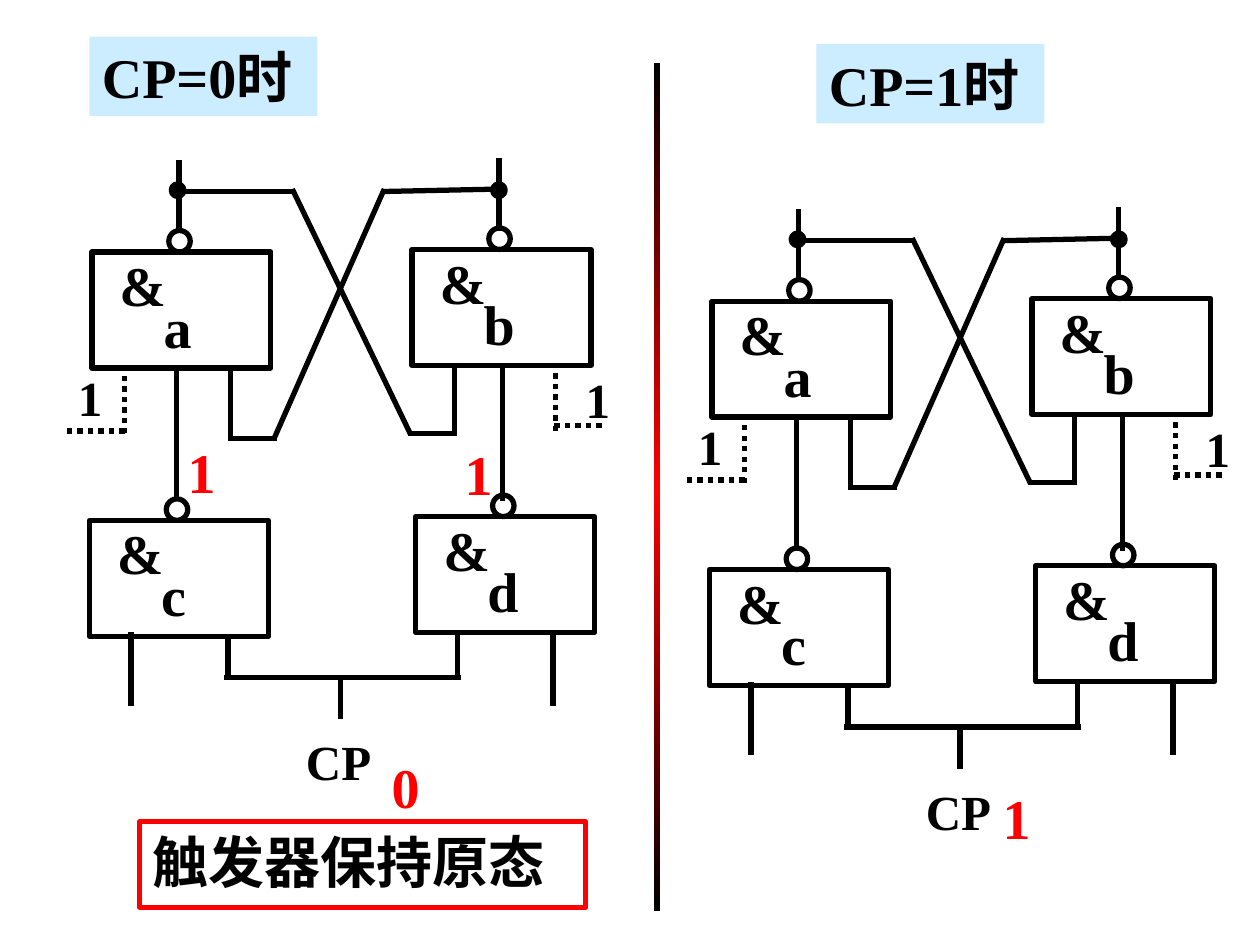
from copy import deepcopy

from lxml.etree import SubElement
from pptx import Presentation
from pptx.dml.color import RGBColor
from pptx.enum.dml import MSO_LINE
from pptx.enum.shapes import MSO_CONNECTOR, MSO_SHAPE
from pptx.enum.text import MSO_ANCHOR, PP_ALIGN
from pptx.oxml.ns import qn
from pptx.util import Inches, Pt

COLOURS = {"ink": "000000", "signal": "FF0000", "label": "CCECFF"}
FONT = "Times New Roman"

HEADINGS = [("CP=0时", 0.71, 0.29), ("CP=1时", 6.48, 0.35)]
CONCLUSION = ("触发器保持原态", 1.11, 6.52, 3.54, 0.68)
DIVIDER = (5.19, 0.5, 0.05, 6.73)
DIVIDER_STOPS = [(0, "ink"), (0.5, "signal"), (1, "ink")]
SIGNALS = [
    ("0", 3.01, 5.92),
    ("1", 1.39, 3.42),
    ("1", 3.59, 3.44),
    ("1", 7.86, 6.17),
]

CIRCUIT_ORIGINS = [(0, 0), (4.92, 0.39)]
GATES = [("a", 0.73, 2), ("b", 3.27, 1.98), ("c", 0.71, 4.13), ("d", 3.3, 4.1)]
JUNCTIONS = [(1.36, 1.46), (3.91, 1.46)]
WIRES = [
    (1.42, 1.27, 1.42, 1.85),
    (3.96, 1.25, 3.96, 1.83),
    (1.41, 1.52, 2.34, 1.52),
    (3.05, 1.52, 3.99, 1.5),
    (3.05, 1.5, 2.18, 3.47),
    (2.32, 1.5, 3.26, 3.45),
    (1.83, 2.92, 1.83, 3.5),
    (1.82, 3.48, 2.2, 3.48),
    (3.61, 2.88, 3.61, 3.46),
    (3.24, 3.44, 3.61, 3.44),
    (1.4, 2.92, 1.4, 3.5),
    (1.4, 3.4, 1.4, 3.98),
    (3.99, 2.9, 3.99, 3.98),
    (1.04, 5.02, 1.04, 5.6),
    (4.39, 5.02, 4.39, 5.6),
    (1.81, 5.04, 1.81, 5.38),
    (3.63, 5.04, 3.63, 5.38),
    (1.78, 5.38, 2.16, 5.38),
    (3.66, 5.38, 3.28, 5.38),
    (1.99, 5.38, 3.41, 5.38),
    (2.7, 5.38, 2.7, 5.71),
]
DOTTED_WIRES = [
    (0.99, 2.9, 0.99, 3.44),
    (0.99, 3.42, 0.53, 3.42),
    (4.41, 2.88, 4.41, 3.42),
    (4.4, 3.38, 4.8, 3.38),
]
INPUT_LABELS = [
    ("CP", 2.33, 5.76, 0.83, PP_ALIGN.LEFT),
    ("1", 0.47, 2.87, 0.49, PP_ALIGN.CENTER),
    ("1", 4.5, 2.88, 0.49, PP_ALIGN.CENTER),
]


def colour(name):
    return RGBColor.from_string(COLOURS[name])


def write(shape, text, size=32, ink="ink", align=PP_ALIGN.LEFT):
    frame = shape.text_frame
    frame.word_wrap = True
    frame.vertical_anchor = MSO_ANCHOR.TOP
    para = frame.paragraphs[0]
    para.alignment = align
    span = para.add_run()
    span.text = text
    for name, value in {"name": FONT, "size": Pt(size), "bold": True}.items():
        setattr(span.font, name, value)
    span.font.color.rgb = colour(ink)


def add_label(shapes, text, left, top, width, height=0.63, **style):
    box = shapes.add_textbox(*map(Inches, (left, top, width, height)))
    write(box, text, **style)


def add_block(shapes, kind, left, top, width, height, fill=None, line=None):
    block = shapes.add_shape(kind, *map(Inches, (left, top, width, height)))
    block.shadow.inherit = False
    if fill:
        block.fill.solid()
        block.fill.fore_color.rgb = colour(fill)
    else:
        block.fill.background()
    if line:
        block.line.color.rgb = colour(line)
        block.line.width = Pt(3)
    else:
        block.line.fill.background()
    return block


def add_wire(shapes, ends, dash=None):
    wire = shapes.add_connector(MSO_CONNECTOR.STRAIGHT, *map(Inches, ends))
    wire.line.color.rgb = colour("ink")
    wire.line.width = Pt(3)
    if dash:
        wire.line.dash_style = dash
    SubElement(wire._element.spPr, qn("a:effectLst"))


def add_gate(shapes, name, left, top):
    add_block(shapes, MSO_SHAPE.RECTANGLE, left, top, 1.42, 0.92, line="ink")
    add_block(shapes, MSO_SHAPE.OVAL, left + 0.61, top - 0.17, 0.17, 0.17, line="ink")
    add_label(shapes, "&", left + 0.12, top - 0.06, 1)
    add_label(shapes, name, left + 0.47, top + 0.27, 0.71)


def add_circuit(slide, across, down):
    shapes = slide.shapes.add_group_shape().shapes
    for name, left, top in GATES:
        add_gate(shapes, name, left + across, top + down)
    for left, top in JUNCTIONS:
        add_block(shapes, MSO_SHAPE.OVAL, left + across, top + down, 0.1, 0.1,
                  fill="ink", line="ink")
    for wires, dash in ((WIRES, None), (DOTTED_WIRES, MSO_LINE.ROUND_DOT)):
        for x1, y1, x2, y2 in wires:
            add_wire(shapes, (x1 + across, y1 + down, x2 + across, y2 + down), dash)
    for text, left, top, width, align in INPUT_LABELS:
        add_label(shapes, text, left + across, top + down, width, 0.57,
                  size=28, align=align)


def add_divider(slide):
    divider = add_block(slide.shapes, MSO_SHAPE.RECTANGLE, *DIVIDER)
    divider.fill.gradient()
    divider.fill.gradient_angle = 90
    stop_list = divider._element.spPr.find(".//" + qn("a:gsLst"))
    stop_list.append(deepcopy(stop_list[0]))
    for stop, (position, name) in zip(divider.fill.gradient_stops, DIVIDER_STOPS):
        stop.position = position
        stop.color.rgb = colour(name)


def main():
    deck = Presentation()
    deck.slide_width, deck.slide_height = Inches(10), Inches(7.5)
    page = deck.slides.add_slide(deck.slide_layouts[6])
    for text, left, top in HEADINGS:
        heading = add_block(page.shapes, MSO_SHAPE.RECTANGLE, left, top, 1.81, 0.63,
                            fill="label")
        write(heading, text)
    text, *place = CONCLUSION
    write(add_block(page.shapes, MSO_SHAPE.RECTANGLE, *place, line="signal"), text)
    add_divider(page)
    for origin in CIRCUIT_ORIGINS:
        add_circuit(page, *origin)
    for text, left, top in SIGNALS:
        add_label(page.shapes, text, left, top, 0.66, ink="signal")
    deck.save("out.pptx")


if __name__ == "__main__":
    main()
